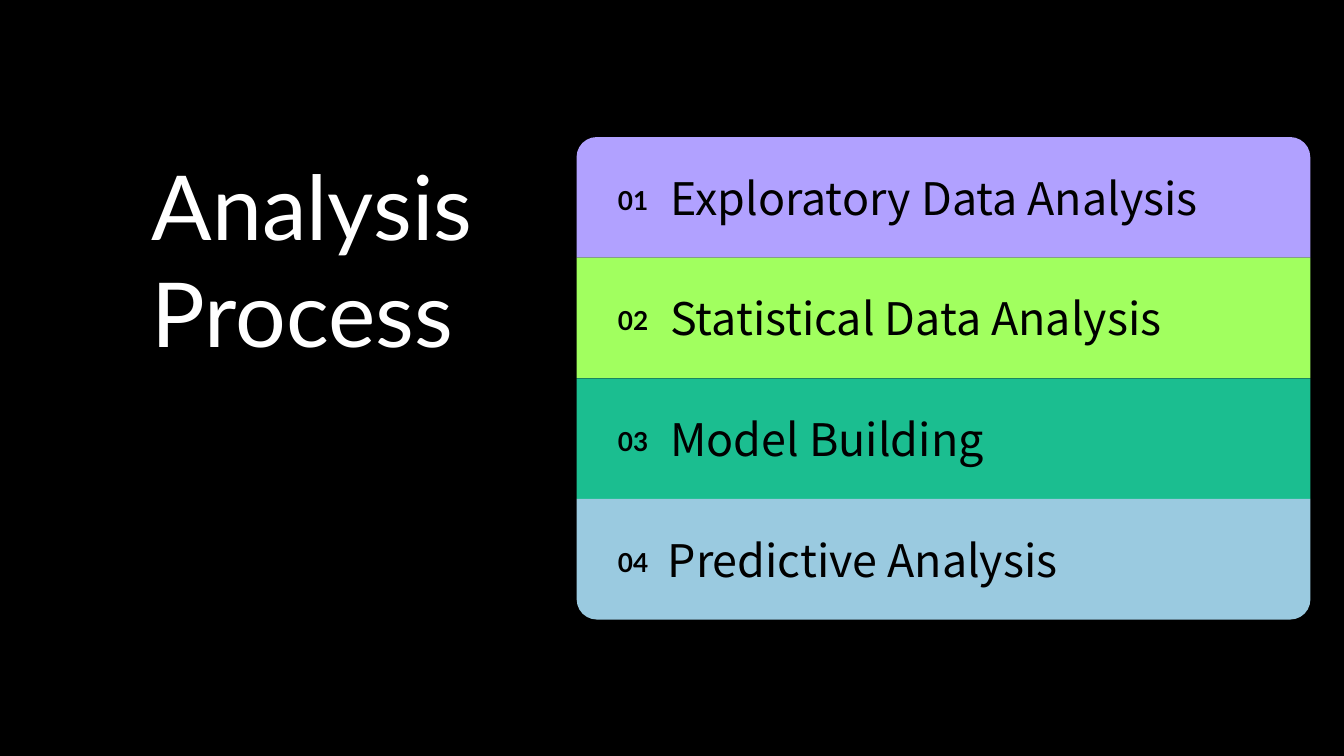
from dataclasses import dataclass

from pptx import Presentation
from pptx.dml.color import RGBColor
from pptx.enum.shapes import MSO_SHAPE
from pptx.enum.text import MSO_ANCHOR, MSO_AUTO_SIZE, PP_ALIGN
from pptx.util import Inches, Pt


@dataclass(frozen=True)
class Theme:
    background: str = "000000"
    title_color: str = "FFFFFF"
    text_color: str = "000000"
    bands: tuple = ("B1A1FF", "A1FF5F", "1BBE90", "9ACAE0")
    title_font: str = "Lato"
    step_font: str = "Noto Sans CJK KR"
    title_size: int = 48
    step_size: int = 24
    number_size: int = 14


theme = Theme()


def write(box, text, *, font, size, color, bold=False, spacing=1.0, anchor=MSO_ANCHOR.MIDDLE):
    """Fill a box with one left-aligned paragraph per line of text."""
    frame = box.text_frame
    frame.text = text
    frame.word_wrap = True
    frame.auto_size = MSO_AUTO_SIZE.NONE
    frame.vertical_anchor = anchor
    frame.margin_left = frame.margin_right = Inches(0.1)
    frame.margin_top = frame.margin_bottom = Inches(0.1)
    for para in frame.paragraphs:
        para.alignment = PP_ALIGN.LEFT
        para.line_spacing = spacing
        for span in para.runs:
            span.font.name = font
            span.font.size = Pt(size)
            span.font.bold = bold
            span.font.color.rgb = RGBColor.from_string(color)


deck = Presentation()
deck.slide_width = Inches(10)
deck.slide_height = Inches(10 * 9 / 16)
page = deck.slides.add_slide(deck.slide_layouts[5])
page.background.fill.solid()
page.background.fill.fore_color.rgb = RGBColor.from_string(theme.background)

title = page.shapes.title
title.left, title.top = Inches(1.03), Inches(1.02)
title.width, title.height = Inches(3.12), Inches(2.9)
write(title, "Analysis\nProcess", font=theme.title_font, size=theme.title_size,
      color=theme.title_color, anchor=MSO_ANCHOR.TOP)

steps = ["Exploratory Data Analysis", "Statistical Data Analysis",
         "Model Building", "Predictive Analysis"]
first_top, last_bottom = 1.02, 4.61
band_height = (last_bottom - first_top) / len(steps)

for index, (step, color) in enumerate(zip(steps, theme.bands)):
    top, height = Inches(first_top + index * band_height), Inches(band_height)
    is_first, is_last = index == 0, index == len(steps) - 1
    outline = MSO_SHAPE.ROUND_2_SAME_RECTANGLE if is_first or is_last else MSO_SHAPE.RECTANGLE
    band = page.shapes.add_shape(outline, Inches(4.29), top, Inches(5.46), height)
    band.shadow.inherit = False
    band.fill.solid()
    band.fill.fore_color.rgb = RGBColor.from_string(color)
    band.line.fill.background()
    if is_last:
        band.rotation = 180

    number = page.shapes.add_textbox(Inches(4.5), top, Inches(0.6), height)
    write(number, f"{index + 1:02}", font=theme.title_font, size=theme.number_size,
          color=theme.text_color, bold=True, spacing=1.15)

    label_left = 4.87 if is_last else 4.89
    label = page.shapes.add_textbox(Inches(label_left), top, Inches(4.86), height)
    write(label, step, font=theme.step_font, size=theme.step_size, color=theme.text_color)

deck.save("out.pptx")
